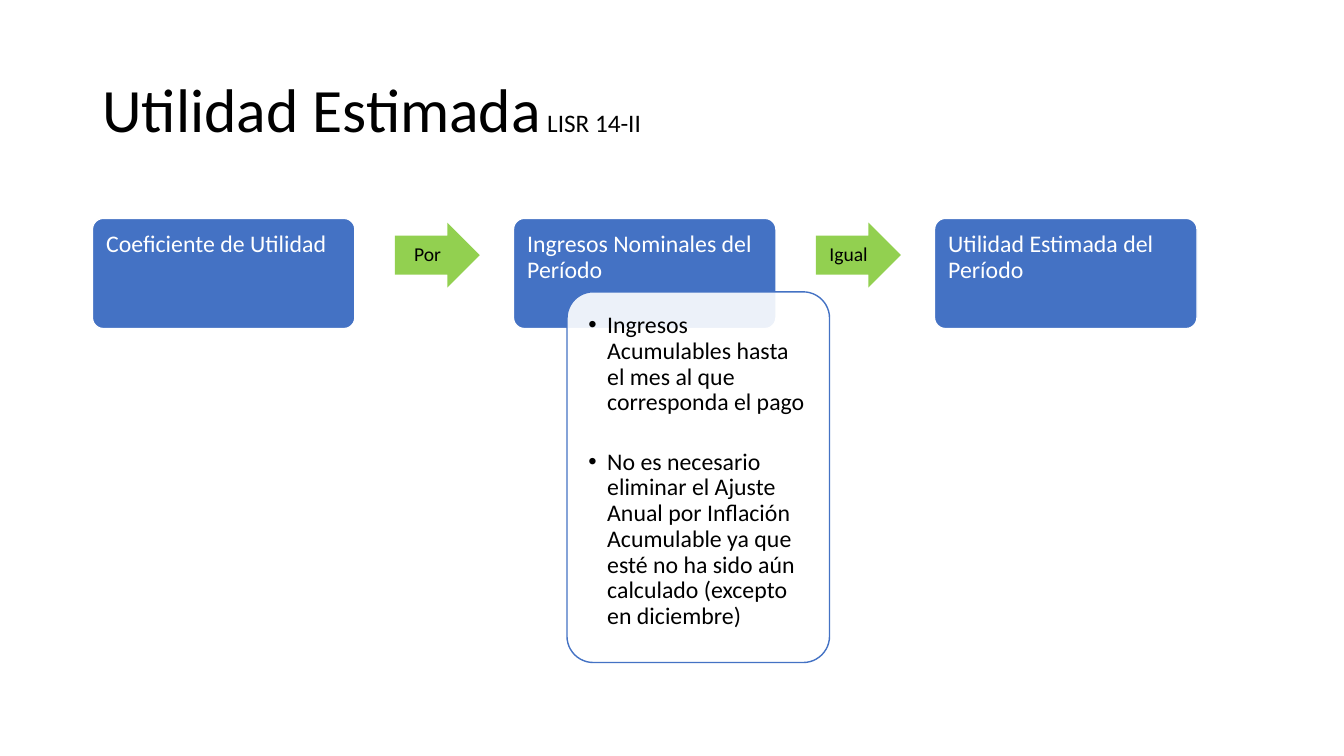
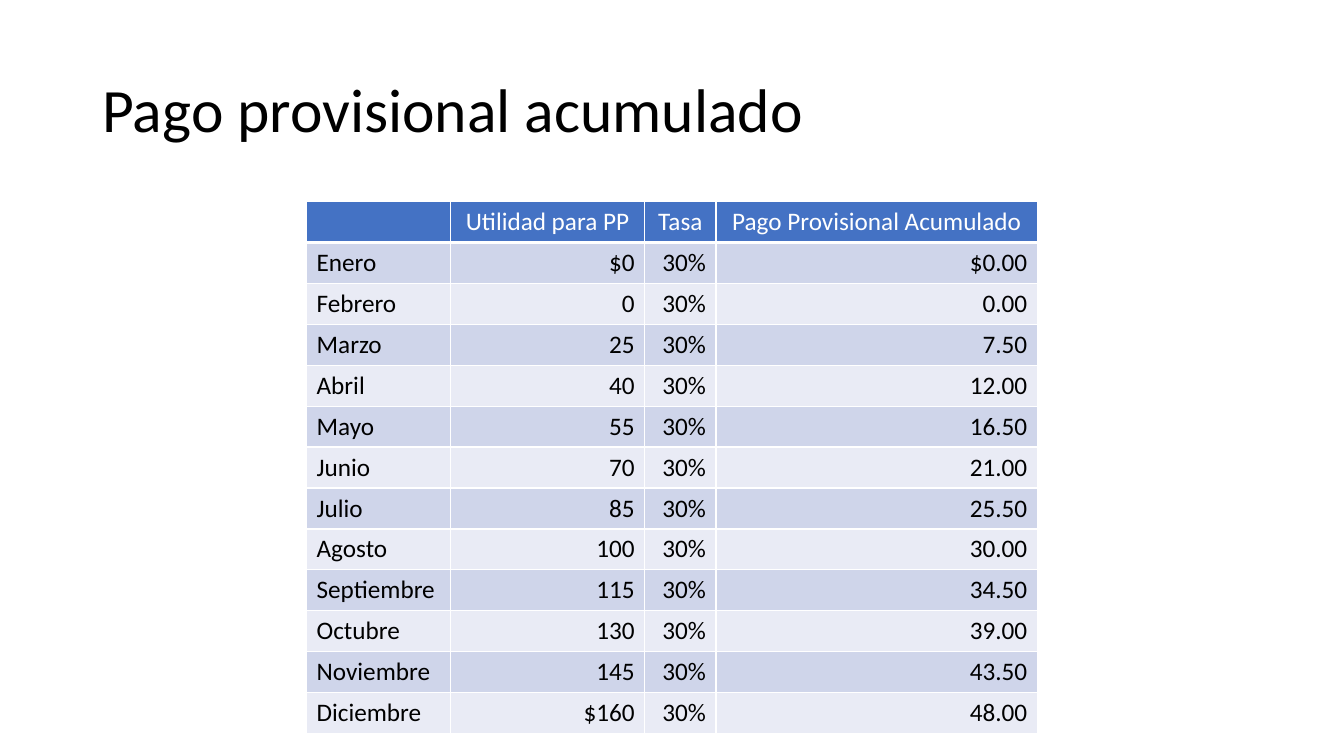
from dataclasses import dataclass
from typing import NamedTuple

from lxml import etree
from pptx import Presentation
from pptx.dml.color import RGBColor
from pptx.enum.shapes import MSO_SHAPE
from pptx.enum.text import MSO_ANCHOR, MSO_AUTO_SIZE, PP_ALIGN
from pptx.oxml.ns import qn
from pptx.presentation import Presentation as Deck
from pptx.shapes.autoshape import Shape
from pptx.slide import Slide
from pptx.table import _Cell
from pptx.text.text import TextFrame
from pptx.util import Emu, Pt

ROUNDED, ARROW = MSO_SHAPE.ROUNDED_RECTANGLE, MSO_SHAPE.RIGHT_ARROW
LEFT, CENTER, RIGHT = PP_ALIGN.LEFT, PP_ALIGN.CENTER, PP_ALIGN.RIGHT
TOP, MIDDLE = MSO_ANCHOR.TOP, MSO_ANCHOR.MIDDLE
NO_AUTOFIT = MSO_AUTO_SIZE.NONE

EMU_PER_PX = 9525
TITLE_ONLY = 5


@dataclass(frozen=True)
class Theme:
    font: str = "Calibri"
    ink: str = "000000"
    paper: str = "FFFFFF"
    accent: str = "4472C4"
    operator: str = "92D050"
    bands: tuple[str, str] = ("CFD5EA", "E9EBF5")
    title_size: int = 44
    table_size: int = 18
    card_size: int = 17
    operator_size: int = 14
    line_spacing: float = 0.9
    bullet_gap: int = 24


THEME = Theme()


class Box(NamedTuple):
    left: int
    top: int
    width: int
    height: int

    def shifted(self, dx: int) -> "Box":
        return self._replace(left=self.left + dx)

    def emu(self) -> tuple[Emu, ...]:
        return tuple(px(length) for length in self)


class Insets(NamedTuple):
    left: int
    top: int
    right: int
    bottom: int


class TextRun(NamedTuple):
    text: str
    size: int
    color: str


class Paragraph(NamedTuple):
    runs: list[TextRun]
    align: PP_ALIGN = LEFT
    bullet: bool = False
    gap_before: int = 0


class Month(NamedTuple):
    name: str
    profit: str
    payment: str


SLIDE_WIDTH, SLIDE_HEIGHT = 1280, 720
TITLE_BOX = Box(88, 38, 1104, 139)

STEP_PITCH = 401
CARD_BOX = Box(88, 208, 250, 105)
OPERATOR_BOX = Box(376, 212, 81, 62)
DETAIL_BOX = Box(540, 278, 250, 353)
CARD_INSETS = Insets(10, 10, 10, 38)
OPERATOR_INSETS = Insets(0, 0, 0, 0)
DETAIL_INSETS = Insets(13, 13, 13, 13)
BULLET_INDENT = 18

FACTORS = ["Coeficiente de Utilidad", "Ingresos Nominales del Período",
           "Utilidad Estimada del Período"]
OPERATORS = ["Por", "Igual"]
INCOME_DETAILS = [
    "Ingresos Acumulables hasta el mes al que corresponda el pago",
    "No es necesario eliminar el Ajuste Anual por Inflación Acumulable "
    "ya que esté no ha sido aún calculado (excepto en diciembre)",
]

TABLE_LEFT, TABLE_TOP = 292, 192
COLUMN_WIDTHS = [137, 185, 68, 306]
ROW_HEIGHT = 39
HEADINGS = ["", "Utilidad para PP", "Tasa", "Pago Provisional Acumulado"]
RATE = "30%"
MONTHS = [
    Month("Enero", "$0", "$0.00"),
    Month("Febrero", "0", "0.00"),
    Month("Marzo", "25", "7.50"),
    Month("Abril", "40", "12.00"),
    Month("Mayo", "55", "16.50"),
    Month("Junio", "70", "21.00"),
    Month("Julio", "85", "25.50"),
    Month("Agosto", "100", "30.00"),
    Month("Septiembre", "115", "34.50"),
    Month("Octubre", "130", "39.00"),
    Month("Noviembre", "145", "43.50"),
    Month("Diciembre", "$160", "48.00"),
]


def px(length: int) -> Emu:
    return Emu(length * EMU_PER_PX)


def rgb(color: str) -> RGBColor:
    return RGBColor.from_string(color)


def write(frame: TextFrame, paragraphs: list[Paragraph],
          line_spacing: float = THEME.line_spacing) -> None:
    for index, content in enumerate(paragraphs):
        paragraph = frame.paragraphs[0] if index == 0 else frame.add_paragraph()
        if content.bullet:
            properties = paragraph._p.get_or_add_pPr()
            properties.set("marL", str(px(BULLET_INDENT)))
            properties.set("indent", str(-px(BULLET_INDENT)))
            etree.SubElement(properties, qn("a:buFont"), typeface="Arial")
            etree.SubElement(properties, qn("a:buChar"), char="•")
        paragraph.alignment = content.align
        paragraph.line_spacing = line_spacing
        paragraph.space_before = Pt(content.gap_before)
        for part in content.runs:
            run = paragraph.add_run()
            run.text = part.text
            run.font.name = THEME.font
            run.font.size = Pt(part.size)
            run.font.bold = False
            run.font.color.rgb = rgb(part.color)


def add_titled_slide(deck: Deck, runs: list[TextRun]) -> Slide:
    slide = deck.slides.add_slide(deck.slide_layouts[TITLE_ONLY])
    title = slide.shapes.title
    title.left, title.top, title.width, title.height = TITLE_BOX.emu()
    frame = title.text_frame
    frame.auto_size = NO_AUTOFIT
    frame.vertical_anchor = MIDDLE
    write(frame, [Paragraph(runs)])
    return slide


def add_block(slide: Slide, kind: MSO_SHAPE, box: Box, fill: str,
              line: str | None, insets: Insets, anchor: MSO_ANCHOR,
              adjustments: tuple[float, ...],
              paragraphs: list[Paragraph]) -> Shape:
    """Draw one filled shape of the diagram with its text."""
    block = slide.shapes.add_shape(kind, *box.emu())
    block.shadow.inherit = False
    for index, value in enumerate(adjustments):
        block.adjustments[index] = value
    block.fill.solid()
    block.fill.fore_color.rgb = rgb(fill)
    if line is None:
        block.line.fill.background()
    else:
        block.line.color.rgb = rgb(line)
        block.line.width = Pt(1)
    frame = block.text_frame
    frame.word_wrap = True
    frame.vertical_anchor = anchor
    frame.margin_left, frame.margin_top = px(insets.left), px(insets.top)
    frame.margin_right, frame.margin_bottom = px(insets.right), px(insets.bottom)
    write(frame, paragraphs)
    return block


def add_factor(slide: Slide, position: int, label: str) -> None:
    run = TextRun(label, THEME.card_size, THEME.paper)
    add_block(slide, ROUNDED, CARD_BOX.shifted(position * STEP_PITCH),
              THEME.accent, THEME.paper, CARD_INSETS, TOP, (0.1,),
              [Paragraph([run])])


def add_operator(slide: Slide, position: int, label: str) -> None:
    run = TextRun(label, THEME.operator_size, THEME.ink)
    add_block(slide, ARROW, OPERATOR_BOX.shifted(position * STEP_PITCH),
              THEME.operator, None, OPERATOR_INSETS, MIDDLE, (0.6, 0.5),
              [Paragraph([run], CENTER)])


def add_income_details(slide: Slide) -> None:
    bullets = [
        Paragraph([TextRun(detail, THEME.card_size, THEME.ink)], bullet=True,
                  gap_before=THEME.bullet_gap if index else 0)
        for index, detail in enumerate(INCOME_DETAILS)
    ]
    panel = add_block(slide, ROUNDED, DETAIL_BOX, THEME.paper, THEME.accent,
                      DETAIL_INSETS, TOP, (0.1,), bullets)
    fill_color = panel._element.spPr.find(qn("a:solidFill"))[0]
    etree.SubElement(fill_color, qn("a:alpha"), val="90000")


def set_borders(cell: _Cell, bottom_width: int) -> None:
    properties = cell._tc.get_or_add_tcPr()
    widths = {"a:lnL": 1, "a:lnR": 1, "a:lnT": 1, "a:lnB": bottom_width}
    for tag, width in widths.items():
        border = etree.SubElement(properties, qn(tag), w=str(Pt(width)))
        solid = etree.SubElement(border, qn("a:solidFill"))
        etree.SubElement(solid, qn("a:srgbClr"), val=THEME.paper)


def fill_cell(cell: _Cell, text: str, align: PP_ALIGN, color: str,
              fill: str, bottom_width: int) -> None:
    set_borders(cell, bottom_width)
    cell.fill.solid()
    cell.fill.fore_color.rgb = rgb(fill)
    runs = [TextRun(text, THEME.table_size, color)] if text else []
    write(cell.text_frame, [Paragraph(runs, align)], line_spacing=1.0)


def add_payment_table(slide: Slide) -> None:
    row_count = len(MONTHS) + 1
    box = Box(TABLE_LEFT, TABLE_TOP, sum(COLUMN_WIDTHS), row_count * ROW_HEIGHT)
    table = slide.shapes.add_table(row_count, len(HEADINGS), *box.emu()).table
    for column, width in zip(table.columns, COLUMN_WIDTHS):
        column.width = px(width)
    for row in table.rows:
        row.height = px(ROW_HEIGHT)
    for column, heading in enumerate(HEADINGS):
        fill_cell(table.cell(0, column), heading, CENTER, THEME.paper,
                  THEME.accent, 3)
    for index, month in enumerate(MONTHS):
        values = [month.name, month.profit, RATE, month.payment]
        for column, value in enumerate(values):
            fill_cell(table.cell(index + 1, column), value,
                      RIGHT if column else LEFT, THEME.ink,
                      THEME.bands[index % 2], 1)


def build_estimated_profit(deck: Deck) -> None:
    slide = add_titled_slide(deck, [
        TextRun("Utilidad Estimada", THEME.title_size, THEME.ink),
        TextRun(" LISR 14-II", THEME.table_size, THEME.ink),
    ])
    for position, label in enumerate(FACTORS):
        add_factor(slide, position, label)
    for position, label in enumerate(OPERATORS):
        add_operator(slide, position, label)
    add_income_details(slide)


def build_provisional_payment(deck: Deck) -> None:
    slide = add_titled_slide(deck, [
        TextRun("Pago provisional acumulado", THEME.title_size, THEME.ink),
    ])
    add_payment_table(slide)


def main() -> None:
    deck = Presentation()
    deck.slide_width, deck.slide_height = px(SLIDE_WIDTH), px(SLIDE_HEIGHT)
    build_estimated_profit(deck)
    build_provisional_payment(deck)
    deck.save("out.pptx")


if __name__ == "__main__":
    main()
